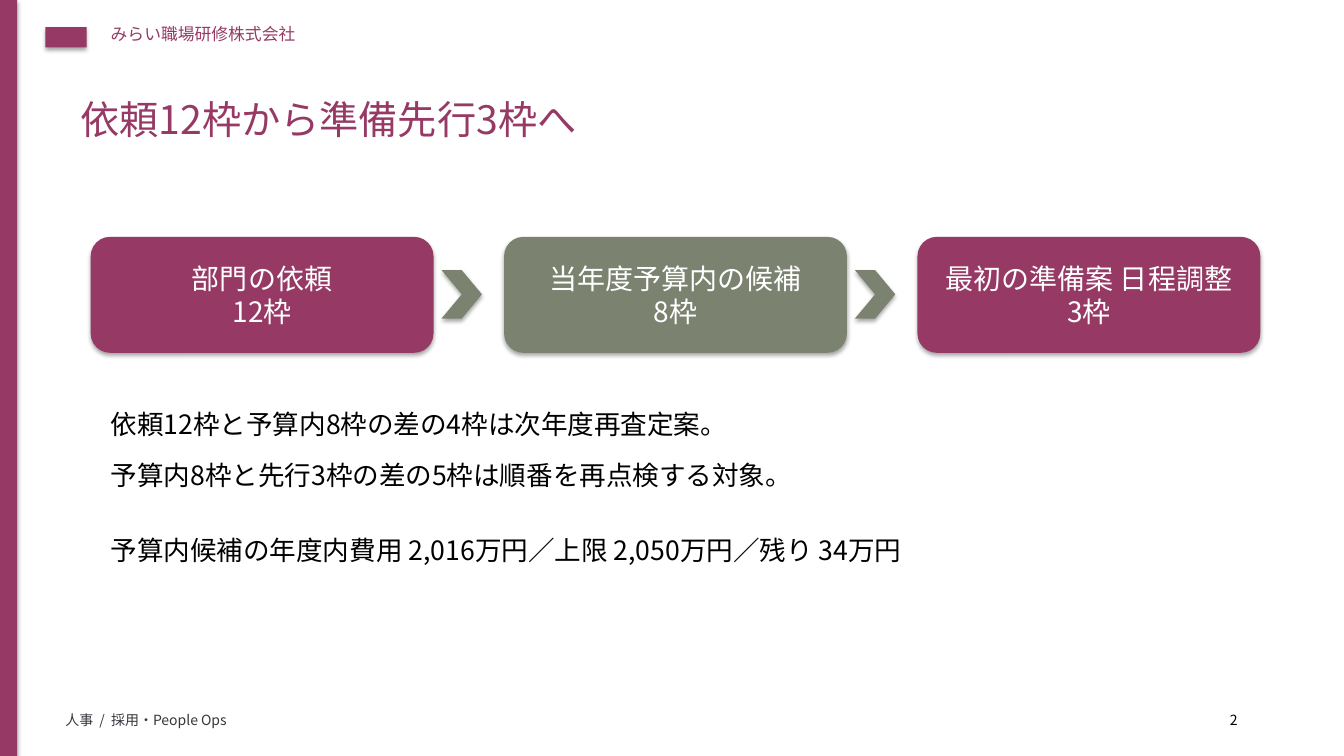
"""Build the slide that narrows twelve requests to three first slots."""
from dataclasses import dataclass

from lxml.etree import SubElement
from pptx import Presentation
from pptx.dml.color import RGBColor
from pptx.enum.shapes import MSO_SHAPE
from pptx.enum.text import MSO_ANCHOR, PP_ALIGN
from pptx.oxml.ns import qn
from pptx.shapes.autoshape import Shape
from pptx.slide import Slide
from pptx.util import Inches, Pt


@dataclass(frozen=True)
class Theme:
    """Colours, font and type sizes of the slide."""
    plum: str = "963A65"
    sage: str = "7B8270"
    slate: str = "34383C"
    black: str = "000000"
    white: str = "FFFFFF"
    font: str = "Noto Sans CJK JP"
    title: int = 28
    step: int = 20
    body: int = 19
    brand: int = 12
    small: int = 10


@dataclass(frozen=True)
class Box:
    """Place and size in inches."""
    left: float
    top: float
    width: float
    height: float

    def emu(self) -> tuple:
        """Return the four lengths."""
        return tuple(map(Inches, (self.left, self.top, self.width, self.height)))


@dataclass(frozen=True)
class Step:
    """One stage of the flow."""
    label: str
    count: str
    fill: str


@dataclass(frozen=True)
class Note:
    """One line of text with its place and look."""
    text: str
    box: Box
    size: int
    color: str


THEME = Theme()
STEPS = (
    Step("部門の依頼", "12枠", THEME.plum),
    Step("当年度予算内の候補", "8枠", THEME.sage),
    Step("最初の準備案 日程調整", "3枠", THEME.plum),
)
FIRST = Box(0.9, 2.35, 3.4, 1.15)
PITCH = 4.1
ARROW = Box(4.38, 2.68, 0.4, 0.48)
BODY = (
    (4.0, "依頼12枠と予算内8枠の差の4枠は次年度再査定案。"),
    (4.5, "予算内8枠と先行3枠の差の5枠は順番を再点検する対象。"),
    (5.25, "予算内候補の年度内費用 2,016万円／上限 2,050万円／残り 34万円"),
)
NOTES = (
    Note("みらい職場研修株式会社", Box(1, 0.19, 8, 0.4), THEME.brand, THEME.plum),
    Note("人事  /  採用・People Ops", Box(0.55, 7.01, 10, 0.3), THEME.small, THEME.slate),
    Note("依頼12枠から準備先行3枠へ", Box(0.7, 0.9, 11.8, 0.85), THEME.title, THEME.plum),
    Note("2", Box(12.1, 7.01, 0.5, 0.25), THEME.small, THEME.black),
    *(Note(text, Box(1, top, 11.5, 0.5), THEME.body, THEME.black) for top, text in BODY),
)


def write(shape: Shape, *lines: str, size: int, color: str,
          align: PP_ALIGN = PP_ALIGN.LEFT, anchor: MSO_ANCHOR = MSO_ANCHOR.TOP) -> None:
    """Write lines into a shape with the given format."""
    frame = shape.text_frame
    frame.word_wrap = True
    frame.vertical_anchor = anchor
    for index, line in enumerate(lines):
        para = frame.add_paragraph() if index else frame.paragraphs[0]
        para.alignment = align
        run = para.add_run()
        run.text = line
        run.font.size = Pt(size)
        run.font.name = THEME.font
        run.font.color.rgb = RGBColor.from_string(color)
        SubElement(run.font._element, qn("a:ea"), typeface=THEME.font)


def shade(shape: Shape) -> None:
    """Give a shape a soft shadow below it."""
    shape.shadow.inherit = False
    effects = shape._element.spPr.find(qn("a:effectLst"))
    outer = SubElement(effects, qn("a:outerShdw"), blurRad=str(Pt(3.1)),
                       dist=str(Pt(1.8)), dir="5400000", rotWithShape="0")
    tint = SubElement(outer, qn("a:srgbClr"), val=THEME.black)
    SubElement(tint, qn("a:alpha"), val="35000")


def block(slide: Slide, kind: MSO_SHAPE, box: Box, fill: str) -> Shape:
    """Add a filled shape with a shadow and no line."""
    shape = slide.shapes.add_shape(kind, *box.emu())
    shape.fill.solid()
    shape.fill.fore_color.rgb = RGBColor.from_string(fill)
    shape.line.fill.background()
    shade(shape)
    return shape


def flow(slide: Slide) -> None:
    """Draw the steps with a chevron after each but the last."""
    for index, step in enumerate(STEPS):
        shift = index * PITCH
        box = Box(FIRST.left + shift, FIRST.top, FIRST.width, FIRST.height)
        card = block(slide, MSO_SHAPE.ROUNDED_RECTANGLE, box, step.fill)
        write(card, step.label, step.count, size=THEME.step, color=THEME.white,
              align=PP_ALIGN.CENTER, anchor=MSO_ANCHOR.MIDDLE)
        if index < len(STEPS) - 1:
            box = Box(ARROW.left + shift, ARROW.top, ARROW.width, ARROW.height)
            block(slide, MSO_SHAPE.CHEVRON, box, THEME.sage)


def main() -> None:
    """Build and save the deck."""
    deck = Presentation()
    deck.slide_width, deck.slide_height = Inches(13.33), Inches(7.5)
    slide = deck.slides.add_slide(deck.slide_layouts[6])
    block(slide, MSO_SHAPE.RECTANGLE, Box(0, 0, 0.17, 7.5), THEME.plum)
    block(slide, MSO_SHAPE.RECTANGLE, Box(0.45, 0.27, 0.41, 0.2), THEME.plum)
    flow(slide)
    for note in NOTES:
        write(slide.shapes.add_textbox(*note.box.emu()), note.text,
              size=note.size, color=note.color)
    deck.save("out.pptx")


if __name__ == "__main__":
    main()
